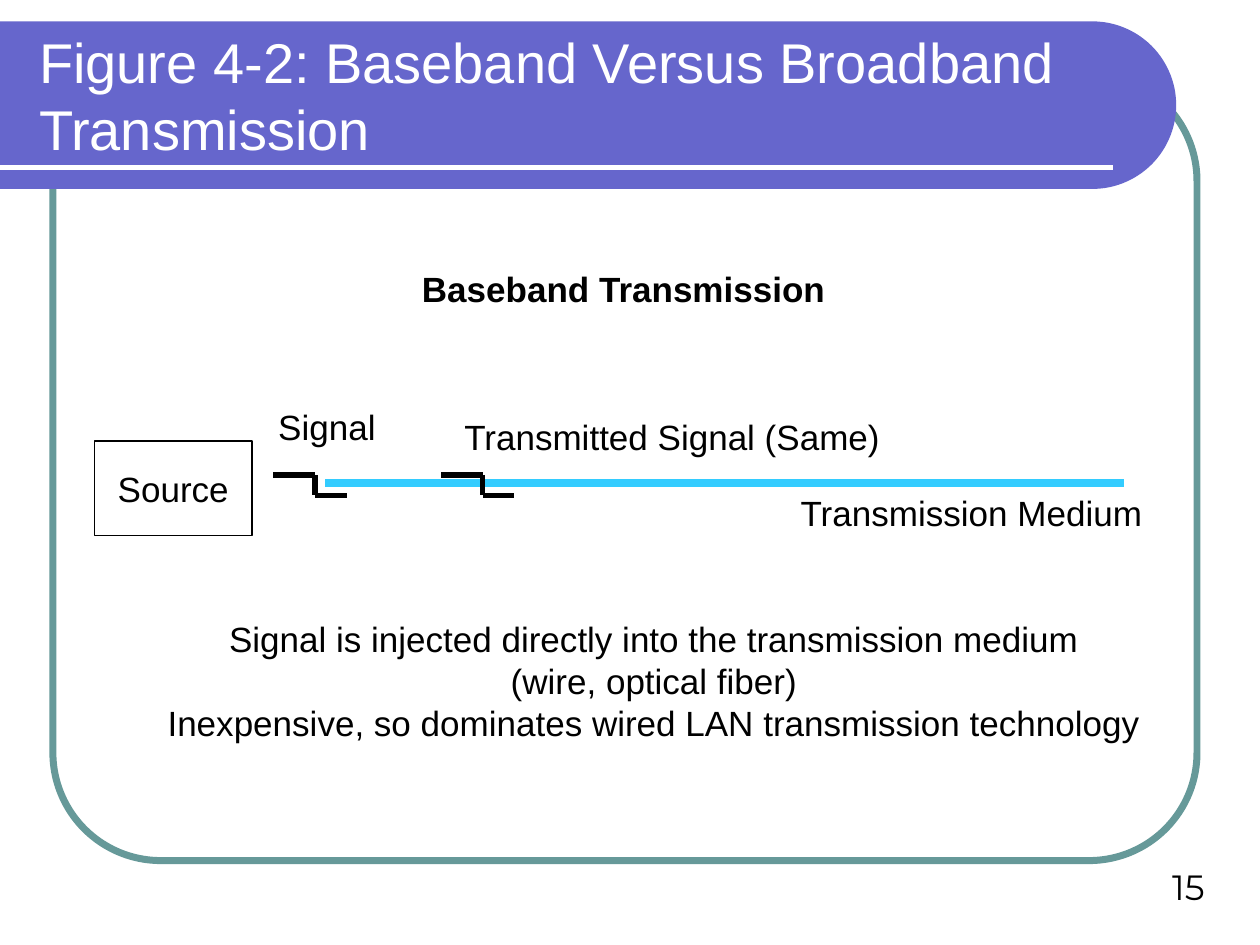
from math import cos, pi, sin

from lxml import etree
from pptx import Presentation
from pptx.dml.color import RGBColor
from pptx.enum.shapes import MSO_CONNECTOR, MSO_SHAPE
from pptx.enum.text import MSO_ANCHOR, MSO_AUTO_SIZE, PP_ALIGN
from pptx.oxml.ns import qn
from pptx.util import Inches, Pt

LEFT, CENTER, RIGHT = PP_ALIGN.LEFT, PP_ALIGN.CENTER, PP_ALIGN.RIGHT
MIDDLE, BOTTOM = MSO_ANCHOR.MIDDLE, MSO_ANCHOR.BOTTOM
GROW, FIXED = MSO_AUTO_SIZE.SHAPE_TO_FIT_TEXT, MSO_AUTO_SIZE.NONE

WHITE = RGBColor(0xFF, 0xFF, 0xFF)
BLACK = RGBColor(0, 0, 0)
VIOLET = RGBColor(0x66, 0x66, 0xCC)
TEAL = RGBColor(0x66, 0x99, 0x99)
CYAN = RGBColor(0x33, 0xCC, 0xFF)

BODY = {"size": Pt(20), "name": "Arial", "bold": False}
BAND_TOP, BAND_BOTTOM, BAND_STRAIGHT = 0.17, 1.5, 8.67
SIGNAL_STEPS = [(0, 0), (0.33, 0), (0.33, 0.16), (0.58, 0.16)]
SIGNAL_TOP = 3.77

# Text, left, top, width, height, alignment, bold
LABELS = [
    ("Baseband Transmission", 3.25, 2.07, 3.41, 0.44, LEFT, True),
    ("Signal", 2.11, 3.17, 1.0, 0.44, LEFT, False),
    ("Transmitted Signal (Same)", 3.58, 3.25, 3.51, 0.44, CENTER, False),
    ("Transmission Medium", 6.25, 3.85, 2.92, 0.44, CENTER, False),
    ("Signal is injected directly into the transmission medium\n"
     "(wire, optical fiber)\n"
     "Inexpensive, so dominates wired LAN transmission technology",
     1.23, 4.85, 7.92, 1.1, CENTER, False),
]


def write(frame, text, align=LEFT, color=BLACK, **changes):
    frame.text = text
    for para in frame.paragraphs:
        para.alignment = align
        para.font.color.rgb = color
        for key, value in {**BODY, **changes}.items():
            setattr(para.font, key, value)


def add_label(shapes, text, left, top, width, height, align, bold):
    box = shapes.add_textbox(*map(Inches, (left, top, width, height)))
    box.text_frame.word_wrap = False
    box.text_frame.auto_size = GROW
    write(box.text_frame, text, align, bold=bold)


def add_line(shapes, start, end, color, weight):
    line = shapes.add_connector(MSO_CONNECTOR.STRAIGHT,
                                *map(Inches, (*start, *end)))
    line.line.color.rgb = color
    line.line.width = Pt(weight)
    etree.SubElement(line._element.spPr, qn("a:effectLst"))


def add_box(shapes, kind, place, color, weight):
    box = shapes.add_shape(kind, *map(Inches, place))
    box.shadow.inherit = False
    box.line.color.rgb = color
    box.line.width = Pt(weight)
    return box


def add_band(shapes):
    """Violet band, square on the left and a half circle on the right."""
    radius = (BAND_BOTTOM - BAND_TOP) / 2
    middle = BAND_TOP + radius
    steps = 60
    angles = [pi * step / steps - pi / 2 for step in range(steps + 1)]
    arc = [(BAND_STRAIGHT + radius * cos(angle), middle + radius * sin(angle))
           for angle in angles]
    # Freeform points are whole numbers, so they are given in EMU
    outline = [(Inches(x), Inches(y)) for x, y in arc + [(0, BAND_BOTTOM)]]
    builder = shapes.build_freeform(0, Inches(BAND_TOP))
    builder.add_line_segments(outline, close=True)
    band = builder.convert_to_shape()
    band.shadow.inherit = False
    band.fill.solid()
    band.fill.fore_color.rgb = VIOLET
    band.line.fill.background()


def add_backdrop(shapes):
    outline = add_box(shapes, MSO_SHAPE.ROUNDED_RECTANGLE,
                      (0.42, 0.58, 9.08, 6.25), TEAL, 4)
    outline.adjustments[0] = 0.137
    outline.fill.background()
    add_band(shapes)
    add_line(shapes, (0, 1.33), (8.83, 1.33), WHITE, 3)


def place_title(shapes, text):
    title = shapes.title
    place = {"left": 0.21, "top": 0.25, "width": 8.77, "height": 1}
    for key, value in place.items():
        setattr(title, key, Inches(value))
    title.text_frame.auto_size = FIXED
    title.text_frame.vertical_anchor = MIDDLE
    write(title.text_frame, text, color=WHITE, size=Pt(32))
    shapes._spTree.append(title._element)  # in front of the band


def add_page_number(shapes, number):
    box = shapes.add_textbox(*map(Inches, (7.33, 6.75, 2.33, 0.5)))
    box.text_frame.word_wrap = True
    box.text_frame.vertical_anchor = BOTTOM
    write(box.text_frame, number, RIGHT, name="Montserrat")


def add_source(shapes):
    box = add_box(shapes, MSO_SHAPE.RECTANGLE, (0.75, 3.5, 1.25, 0.75),
                  BLACK, 0.75)
    box.fill.solid()
    box.fill.fore_color.rgb = WHITE
    box.text_frame.word_wrap = False
    box.text_frame.vertical_anchor = MIDDLE
    write(box.text_frame, "Source", CENTER)


def add_signal(shapes, left):
    """Stepped pulse made of three lines in one group."""
    group = shapes.add_group_shape()
    points = [(left + x, SIGNAL_TOP + y) for x, y in SIGNAL_STEPS]
    for start, end in zip(points, points[1:]):
        add_line(group.shapes, start, end, BLACK, 3)


def main():
    deck = Presentation()
    deck.slide_width, deck.slide_height = Inches(10), Inches(7.5)
    shapes = deck.slides.add_slide(deck.slide_layouts[5]).shapes

    # Frame, title and page number
    add_backdrop(shapes)
    place_title(shapes, "Figure 4-2: Baseband Versus Broadband Transmission")
    add_page_number(shapes, "15")

    # Transmission diagram
    add_line(shapes, (2.58, 3.83), (8.92, 3.83), CYAN, 4.5)
    add_source(shapes)
    for left in (3.5, 2.17):
        add_signal(shapes, left)
    for label in LABELS:
        add_label(shapes, *label)

    deck.save("out.pptx")


if __name__ == "__main__":
    main()
